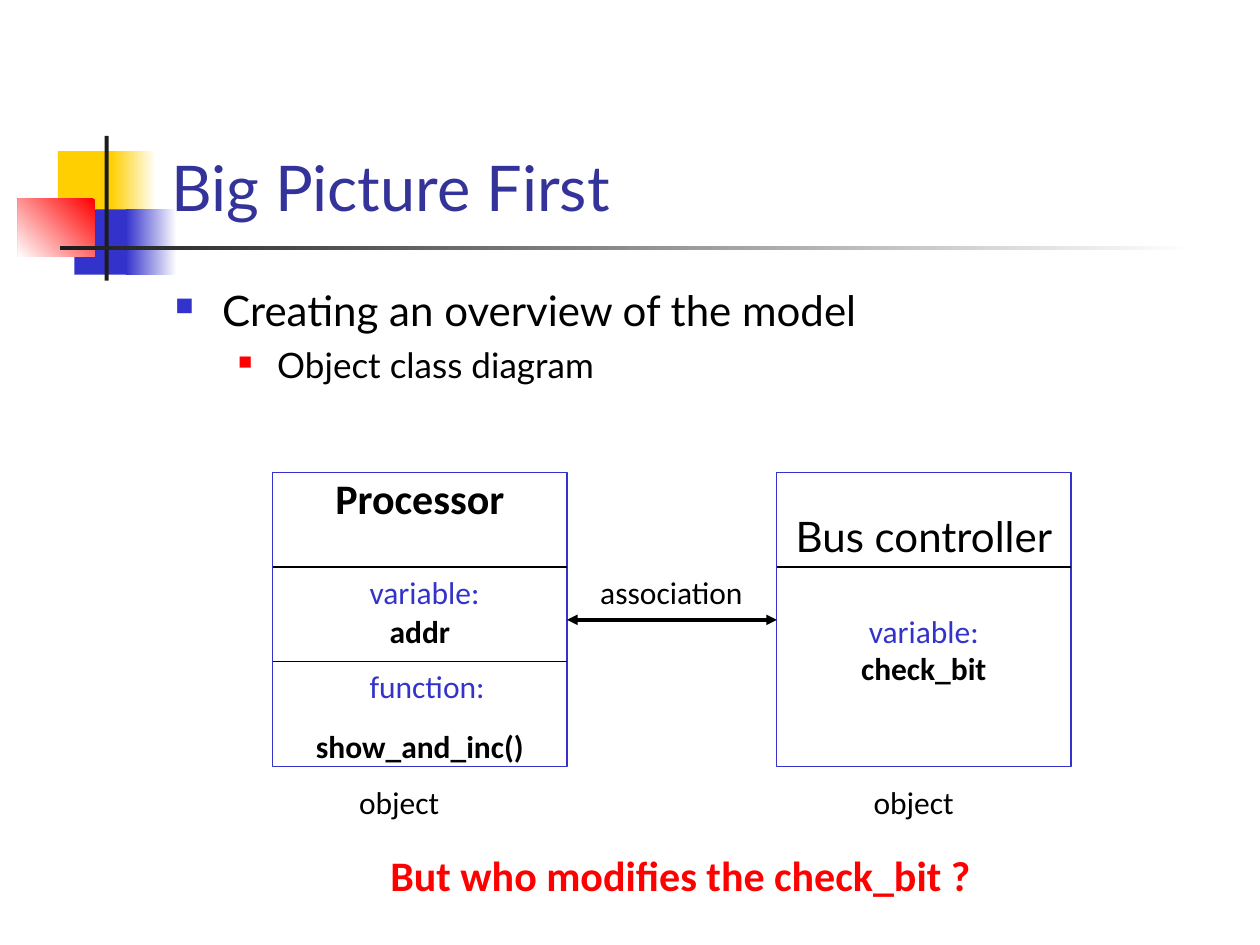
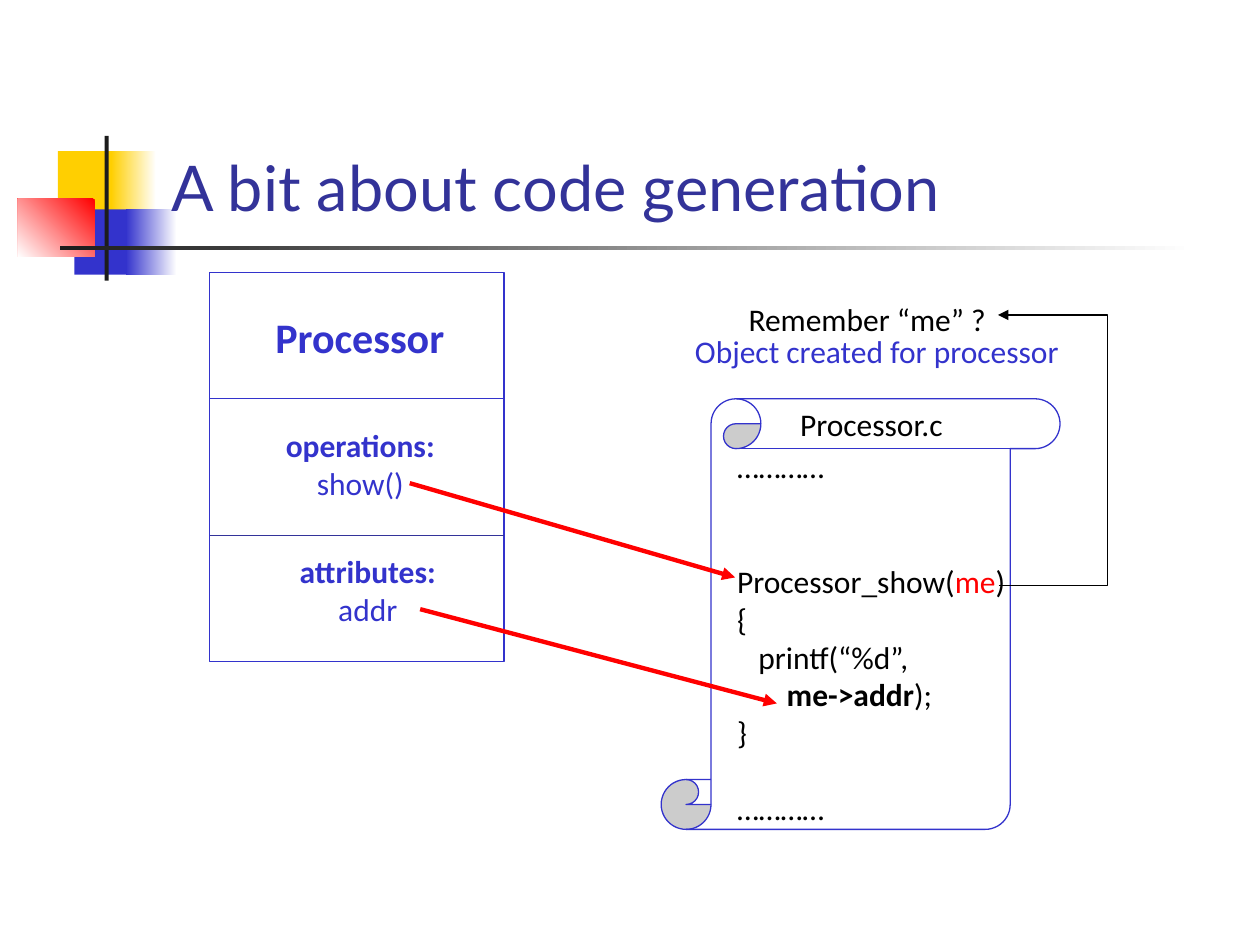
"""Builds two slides on an object class diagram and the code generated from it."""
from dataclasses import dataclass

from pptx import Presentation
from pptx.dml.color import RGBColor
from pptx.enum.shapes import MSO_CONNECTOR as Connector, MSO_SHAPE as Shape
from pptx.enum.text import MSO_ANCHOR as Anchor, PP_ALIGN as Align
from pptx.oxml.xmlchemy import OxmlElement
from pptx.util import Cm, Pt

BLACK = RGBColor(0x00, 0x00, 0x00)
WHITE = RGBColor(0xFF, 0xFF, 0xFF)
CHARCOAL = RGBColor(0x1C, 0x1C, 0x1C)
BLUE = RGBColor(0x33, 0x33, 0xCC)
NAVY = RGBColor(0x33, 0x33, 0x99)
RED = RGBColor(0xFF, 0x00, 0x00)
YELLOW = RGBColor(0xFF, 0xCF, 0x01)

HEADING_FONT = "Lato"
DIAGRAM_FONT = "Calibri"
BOX_WIDTH = 5.93


@dataclass
class Line:
    """One paragraph; text is a string or a list of (text, color, bold) runs."""
    text: object
    color: RGBColor = BLACK
    bold: bool = False
    size: int = 18
    font: str = DIAGRAM_FONT
    before: float = 0
    indent: float = 0
    hanging: float = 0
    bullet: tuple = ()


def add_element(parent, tag, **attributes):
    """Append a drawing element with the given attributes."""
    element = OxmlElement(tag)
    for name, value in attributes.items():
        element.set(name, str(value))
    parent.append(element)
    return element


def add_bullet(properties, color, percent):
    """Give a paragraph a coloured square bullet."""
    bullet_color = add_element(properties, "a:buClr")
    add_element(bullet_color, "a:srgbClr", val=color)
    add_element(properties, "a:buSzPct", val=percent * 1000)
    add_element(properties, "a:buChar", char="■")


def write_lines(text_frame, lines, align=Align.LEFT):
    """Fill a text frame with formatted lines."""
    for index, line in enumerate(lines):
        paragraph = text_frame.paragraphs[0] if index == 0 else text_frame.add_paragraph()
        paragraph.alignment = align
        paragraph.space_before = Pt(line.before)
        runs = [(line.text, line.color, line.bold)] if isinstance(line.text, str) else line.text
        for text, color, bold in runs:
            run = paragraph.add_run()
            run.text = text
            run.font.name = line.font
            run.font.size = Pt(line.size)
            run.font.bold = bold
            run.font.color.rgb = color
        properties = paragraph._p.get_or_add_pPr()
        properties.set("marL", str(Cm(line.indent)))
        properties.set("indent", str(-Cm(line.hanging)))
        if line.bullet:
            add_bullet(properties, *line.bullet)


def add_text(slide, left, top, width, height, lines, align=Align.LEFT, anchor=Anchor.TOP):
    """Add a wrapping text box."""
    text_box = slide.shapes.add_textbox(Cm(left), Cm(top), Cm(width), Cm(height))
    text_box.text_frame.word_wrap = True
    text_box.text_frame.vertical_anchor = anchor
    write_lines(text_box.text_frame, lines, align)


def add_label(slide, left, top, width, text, color=BLACK, bold=False, size=18):
    """Add a one-line text box."""
    add_text(slide, left, top, width, size * 0.056, [Line(text, color, bold, size)])


def add_block(slide, left, top, width, height, start, end=None, angle=180):
    """Add a borderless rectangle, plain or with a gradient from start to end."""
    block = slide.shapes.add_shape(Shape.RECTANGLE, Cm(left), Cm(top), Cm(width), Cm(height))
    block.shadow.inherit = False
    block.line.fill.background()
    if end is None:
        block.fill.solid()
        block.fill.fore_color.rgb = start
        return
    block.fill.gradient()
    block.fill.gradient_angle = angle
    for stop, color in zip(block.fill.gradient_stops, (start, end)):
        stop.color.rgb = color


def add_outline(slide, left, top, width, height, kind=Shape.RECTANGLE):
    """Add a white shape with a thin blue outline."""
    shape = slide.shapes.add_shape(kind, Cm(left), Cm(top), Cm(width), Cm(height))
    shape.shadow.inherit = False
    shape.fill.solid()
    shape.fill.fore_color.rgb = WHITE
    shape.line.color.rgb = BLUE
    shape.line.width = Pt(0.75)
    return shape


def add_class_box(slide, left, top_inset, lines):
    """Add a class box whose centred text starts below the given inset."""
    box = add_outline(slide, left, 9.53, BOX_WIDTH, 5.93)
    text_frame = box.text_frame
    text_frame.word_wrap = False
    text_frame.vertical_anchor = Anchor.TOP
    text_frame.margin_top = Cm(top_inset)
    text_frame.margin_bottom = 0
    write_lines(text_frame, lines, Align.CENTER)
    return box


def add_line(slide, start, end, color=BLACK, width=0.75, arrows=(), kind=Connector.STRAIGHT):
    """Add a connector; arrows names the ends that carry a triangle."""
    connector = slide.shapes.add_connector(kind, *map(Cm, start + end))
    connector.line.color.rgb = color
    connector.line.width = Pt(width)
    for arrow in arrows:
        add_element(connector.line._get_or_add_ln(), f"a:{arrow}End", type="triangle")
    add_element(connector._element.spPr, "a:effectLst")
    return connector


def add_divider(slide, left, top, color=BLACK):
    """Add a line across a class box."""
    add_line(slide, (left, top), (left + BOX_WIDTH, top), color)


def add_titled_slide(presentation, title):
    """Add a blank slide with the shared blocks, rule and title."""
    slide = presentation.slides.add_slide(presentation.slide_layouts[6])
    add_block(slide, 1.17, 3.05, 1.22, 1.32, YELLOW)
    add_block(slide, 2.24, 3.05, 0.91, 1.32, WHITE, YELLOW)
    add_block(slide, 1.5, 4.22, 1.17, 1.32, BLUE)
    add_block(slide, 2.54, 4.22, 1.02, 1.32, WHITE, BLUE)
    add_block(slide, 0.36, 4.01, 1.55, 1.17, RED, WHITE, 225)
    add_block(slide, 2.11, 2.74, 0.08, 2.92, CHARCOAL)
    add_block(slide, 1.22, 4.95, 22.86, 0.09, WHITE, CHARCOAL)
    add_text(slide, 3.2, 0.58, 21.64, 4.06,
             [Line(title, NAVY, size=36, font=HEADING_FONT)], anchor=Anchor.BOTTOM)
    return slide


def build_overview(presentation):
    """Build the class diagram slide."""
    slide = add_titled_slide(presentation, "Big Picture First")
    add_text(slide, 3.28, 5.61, 21.59, 3.2, [
        Line("Creating an overview of the model", size=24, font=HEADING_FONT,
             before=6, indent=0.95, hanging=0.95, bullet=(BLUE, 60)),
        Line("Object class diagram", size=20, font=HEADING_FONT,
             before=5, indent=2.06, hanging=0.79, bullet=(RED, 55)),
    ])
    processor_left, bus_left = 5.5, 15.66
    processor = add_class_box(slide, processor_left, 0, [
        Line("Processor", bold=True, size=24),
        Line("addr", bold=True, before=51),
        Line("show_and_inc()", bold=True, before=44),
    ])
    bus_controller = add_class_box(slide, bus_left, 0.76, [
        Line("Bus controller", size=24, font=HEADING_FONT),
        Line("variable:", BLUE, before=29),
        Line("check_bit", bold=True),
    ])
    for left, top in ((processor_left, 11.43), (processor_left, 13.33), (bus_left, 11.43)):
        add_divider(slide, left, top)
    association = add_line(slide, (11.43, 12.5), (15.66, 12.5), width=2, arrows=("head", "tail"))
    association.begin_connect(processor, 3)
    association.end_connect(bus_controller, 1)
    add_label(slide, 11.85, 11.43, 3.81, "association")
    add_label(slide, 7.2, 11.43, 3.2, "variable:", BLUE)
    add_label(slide, 7.2, 13.33, 3.2, "function:", BLUE)
    for left in (6.99, 17.36):
        add_label(slide, left, 15.66, 2.5, "object")
    add_label(slide, 7.62, 17, 13, "But who modifies the check_bit ?", RED, True, 24)


def build_code_generation(presentation):
    """Build the slide that maps a class to its source file."""
    slide = add_titled_slide(presentation, "A bit about code generation")
    class_left = 4.23
    add_outline(slide, class_left, 5.5, BOX_WIDTH, 7.83)
    add_divider(slide, class_left, 8.04, BLUE)
    add_divider(slide, class_left, 10.8, NAVY)
    add_label(slide, 5.3, 6.15, 4.5, "Processor", BLUE, True, 24)
    for left, top, heading, member in ((5.5, 8.46, "operations:", "show()"),
                                       (5.65, 11, "attributes:", "addr")):
        add_text(slide, left, top, 3.53, 1.78,
                 [Line(heading, BLUE, True), Line(member, BLUE)], Align.CENTER)

    add_outline(slide, 13.33, 8.04, 8.04, 8.68, Shape.VERTICAL_SCROLL)
    add_label(slide, 15.88, 8.04, 4, "Processor.c")
    add_text(slide, 14.61, 8.89, 6.3, 8.2, [
        Line("…………"),
        Line([("Processor_show(", BLACK, False), ("me", RED, False), (")", BLACK, False)],
             before=44),
        Line("{"),
        Line("printf(“%d”,", indent=0.43),
        Line([("me->addr", BLACK, True), (");", BLACK, False)], indent=1),
        Line("}"),
        Line("…………", before=22),
    ])
    add_label(slide, 13.76, 6.56, 8.2, "Object created for processor", BLUE)
    add_label(slide, 14.84, 5.93, 5.6, "Remember “me” ?")

    for start, end in (((8.26, 9.74), (14.82, 11.64)), ((8.47, 12.28), (15.66, 14.18))):
        add_line(slide, start, end, RED, 2.5, ("tail",))
    begin_x, end_x, turn_x = 20.14, 20.12, 22.33
    reminder = add_line(slide, (begin_x, 11.8), (end_x, 6.35), arrows=("tail",),
                        kind=Connector.ELBOW)
    guides = reminder._element.spPr.prstGeom.get_or_add_avLst()
    bend = round((begin_x - turn_x) / (begin_x - end_x) * 100000)
    add_element(guides, "a:gd", name="adj1", fmla=f"val {bend}")


def main():
    """Build and save the presentation."""
    presentation = Presentation()
    presentation.slide_width = Cm(25.4)
    presentation.slide_height = Cm(19.05)
    build_overview(presentation)
    build_code_generation(presentation)
    presentation.save("out.pptx")


if __name__ == "__main__":
    main()
